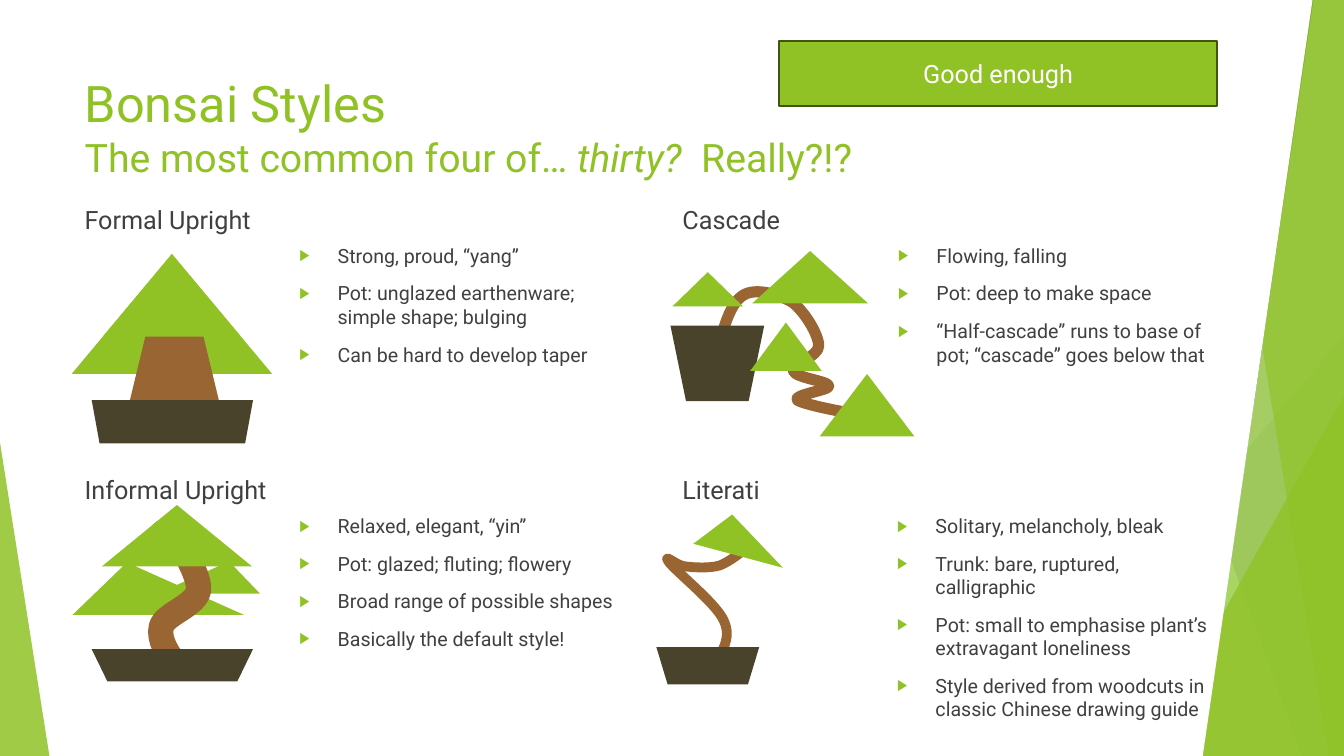
from pptx import Presentation
from pptx.dml.color import RGBColor
from pptx.enum.shapes import MSO_CONNECTOR, MSO_SHAPE
from pptx.enum.text import MSO_ANCHOR, MSO_AUTO_SIZE, PP_ALIGN
from pptx.oxml import parse_xml
from pptx.oxml.ns import nsdecls, qn
from pptx.util import Inches, Pt
from lxml import etree

GREEN = RGBColor(0x90, 0xC2, 0x26)
LEAF = RGBColor(0x54, 0xA0, 0x21)
MOSS = RGBColor(0x3F, 0x78, 0x19)
LIME = RGBColor(0xC0, 0xE4, 0x74)
OLIVE = RGBColor(0x3F, 0x55, 0x11)
BARK = RGBColor(0x99, 0x66, 0x33)
CLAY = RGBColor(0x48, 0x43, 0x2A)
GREY = RGBColor(0x40, 0x40, 0x40)
SILVER = RGBColor(0xBF, 0xBF, 0xBF)
PALE = RGBColor(0xD9, 0xD9, 0xD9)
WHITE = RGBColor(0xFF, 0xFF, 0xFF)
TRI, POT = MSO_SHAPE.ISOSCELES_TRIANGLE, MSO_SHAPE.TRAPEZOID

deck = Presentation()
deck.slide_width, deck.slide_height = Inches(13.33), Inches(7.5)
slide = deck.slides.add_slide(deck.slide_layouts[5])
shapes = slide.shapes


def paint(shape, color, alpha=100):
    shape.shadow.inherit = False
    shape.fill.solid()
    shape.fill.fore_color.rgb = color
    shape.line.fill.background()
    if alpha < 100:
        tint = shape.fill._xPr.find(qn("a:solidFill"))[0]
        etree.SubElement(tint, qn("a:alpha")).set("val", str(alpha * 1000))


def draw(kind, box, color, adj=None, alpha=100):
    shape = shapes.add_shape(kind, *[Inches(n) for n in box])
    paint(shape, color, alpha)
    if adj is not None:
        shape.adjustments[0] = adj
    if kind == POT and color == CLAY:
        shape._element.spPr.xfrm.set("flipV", "1")
    return shape


# Backdrop rays
for ends, color in [((10.25, 0, 11.58, 7.5), SILVER),
                    ((13.33, 4.03, 8.12, 7.5), PALE)]:
    ray = shapes.add_connector(MSO_CONNECTOR.STRAIGHT, *[Inches(n) for n in ends])
    ray.line.color.rgb = color
    ray.line.width = Pt(0.75)
    etree.SubElement(ray._element.spPr, qn("a:effectLst"))

# Backdrop facets: top x, bottom x, colour, opacity; None marks a triangle
facets = [(12.28, 10.04, GREEN, 30), (10.5, 11.83, GREEN, 20),
          (None, (9.77, 3.33, 3.56, 4.17), LEAF, 72),
          (10.21, 12.91, MOSS, 70), (13.03, 11.92, LIME, 70),
          (11.96, 13.18, GREEN, 65),
          (None, (11.34, 3.93, 1.99, 3.57), GREEN, 80)]
for top, low, color, alpha in facets:
    if top is None:
        draw(TRI, low, color, 1, alpha)
        continue
    path = shapes.build_freeform(Inches(top), Inches(-0.01))
    path.add_line_segments([(Inches(x), Inches(y)) for x, y in
                            ((13.33, -0.01), (13.33, 7.5), (low, 7.5))])
    paint(path.convert_to_shape(), color, alpha)
draw(TRI, (0, 4.39, 0.49, 3.11), GREEN, 0, 85)

# Rear foliage, then the white page over the facets
draw(TRI, (1.56, 5.57, 1.02, 0.32), GREEN, 0.698)
draw(TRI, (0.72, 5.58, 1.7, 0.52), GREEN, 0.317)
draw(TRI, (0.71, 2.52, 1.99, 1.19), GREEN)
page = draw(MSO_SHAPE.PARALLELOGRAM, (7.47, -0.02, 5.54, 7.52), WHITE, 0.197)
page.line.color.rgb = WHITE
page.line.width = Pt(1.5)

# Title, raised above the page
title = shapes.title
shapes._spTree.append(title._element)
title.left, title.top = Inches(0.74), Inches(0.67)
title.width, title.height = Inches(11.05), Inches(1.26)
frame = title.text_frame
frame.auto_size = MSO_AUTO_SIZE.NONE
frame.vertical_anchor = MSO_ANCHOR.TOP
para = frame.paragraphs[0]
para.alignment = PP_ALIGN.LEFT
for words, size, slant in [("Bonsai Styles", 36, False),
                           ("The most common four of… ", 28, False),
                           ("thirty?", 28, True), ("  Really?!?", 28, False)]:
    run = para.add_run()
    run.text = words
    run.font.name, run.font.size = "Roboto", Pt(size)
    run.font.italic = slant
    run.font.color.rgb = GREEN
    if size == 36:
        para.add_line_break()

# Four styles: heading and bulleted notes
styles = [
    (0.74, 1.98, "Formal Upright", 2.87, 3.31, 1.83,
     ["Strong, proud, “yang”",
      "Pot: unglazed earthenware; simple shape; bulging",
      "Can be hard to develop taper"]),
    (6.67, 1.98, "Cascade", 8.81, 3.49, 1.83,
     ["Flowing, falling", "Pot: deep to make space",
      "“Half-cascade” runs to base of pot; “cascade” goes below that"]),
    (0.74, 4.66, "Informal Upright", 2.87, 3.31, 1.71,
     ["Relaxed, elegant, “yin”", "Pot: glazed; fluting; flowery",
      "Broad range of possible shapes", "Basically the default style!"]),
    (6.67, 4.66, "Literati", 8.8, 3.31, 2.29,
     ["Solitary, melancholy, bleak", "Trunk: bare, ruptured, calligraphic",
      "Pot: small to emphasise plant’s extravagant loneliness",
      "Style derived from woodcuts in classic Chinese drawing guide"]),
]
bullet = [f'<a:buClr {nsdecls("a")}><a:srgbClr val="{GREEN}"/></a:buClr>',
          f'<a:buSzPct {nsdecls("a")} val="80000"/>',
          f'<a:buFont {nsdecls("a")} typeface="Arial"/>',
          f'<a:buChar {nsdecls("a")} char="▶"/>']
for left, top, name, start, width, height, notes in styles:
    for x, y, w, h, size, lines in [(left, top, 2.82, 0.43, 18, [name]),
                                    (start, top + 0.39, width, height, 14, notes)]:
        box = shapes.add_textbox(Inches(x), Inches(y), Inches(w), Inches(h))
        box.text_frame.word_wrap = True
        box.text_frame.text = "\n".join(lines)
        for para in box.text_frame.paragraphs:
            para.space_before = Pt(10)
            font = para.runs[0].font
            font.name, font.size = "Roboto", Pt(size)
            font.color.rgb = GREY
            if size == 14:
                props = para._p.get_or_add_pPr()
                props.set("marL", str(Inches(0.38)))
                props.set("indent", str(-Inches(0.38)))
                for mark in bullet:
                    props.append(parse_xml(mark))

# Bonsai parts, back to front; a trunk is a chain of cubic curves
bends = [(1.76, 6.62), (1.66, 6.48), (1.57, 6.35), (1.6, 6.22),
         (1.63, 6.09), (1.95, 6.01), (1.97, 5.85),
         (1.98, 5.7), (1.77, 5.35), (1.69, 5.28),
         (1.61, 5.21), (1.52, 5.43), (1.5, 5.46)]
falls = [(7.11, 3.49), (7.18, 3.25), (7.24, 3.01), (7.37, 2.93),
         (7.49, 2.85), (7.73, 2.92), (7.86, 3), (7.98, 3.09), (8.12, 3.32),
         (8.12, 3.43), (8.12, 3.54), (7.85, 3.61), (7.87, 3.68),
         (7.89, 3.75), (8.22, 3.78), (8.22, 3.83), (8.23, 3.87),
         (7.85, 3.92), (7.91, 3.97), (7.98, 4.02), (8.56, 4.13), (8.63, 4.12)]
twists = [(7.06, 6.62), (7.16, 6.48), (7.26, 6.33), (7.18, 6.16),
          (7.11, 5.99), (6.69, 5.66), (6.63, 5.57), (6.57, 5.48),
          (6.72, 5.62), (6.8, 5.62), (6.88, 5.63), (7.04, 5.64),
          (7.14, 5.61), (7.24, 5.57), (7.37, 5.47), (7.4, 5.43),
          (7.43, 5.4), (7.36, 5.39), (7.31, 5.38), (7.25, 5.38),
          (7.16, 5.38), (7.06, 5.38)]
parts = [
    # Formal upright
    (POT, (1.26, 3.12, 0.94, 0.97), BARK, None),
    (TRI, (1.02, 2.52, 1.37, 0.82), GREEN, None),
    (POT, (0.91, 3.97, 1.6, 0.43), CLAY, 0.182),
    # Informal upright
    ("trunk", bends, BARK, 18),
    (POT, (0.91, 6.44, 1.6, 0.32), CLAY, 0.487),
    (TRI, (1.01, 5.01, 1.49, 0.61), GREEN, None),
    # Cascade
    ("trunk", falls, BARK, 8),
    (POT, (6.65, 3.23, 0.93, 0.75), CLAY, 0.206),
    (TRI, (7.46, 2.49, 1.15, 0.52), GREEN, None),
    (TRI, (6.67, 2.7, 0.7, 0.34), GREEN, None),
    (TRI, (7.44, 3.2, 0.71, 0.48), GREEN, None),
    (TRI, (8.13, 3.71, 0.94, 0.62), GREEN, None),
    # Literati
    ("trunk", twists, BARK, 7),
    (TRI, (6.91, 5.14, 0.92, 0.38), GREEN, 0.323),
    (POT, (6.51, 6.42, 1.02, 0.37), CLAY, 0.302),
]
for kind, place, color, value in parts:
    if kind != "trunk":
        part = draw(kind, place, color, value)
        if value == 0.323:
            part.rotation = 15
        continue
    spots = [(Inches(x), Inches(y)) for x, y in place]
    path = shapes.build_freeform(*spots[0])
    path.add_line_segments(spots[1:], close=False)
    trunk = path.convert_to_shape()
    # Turn each three straight steps into one curve
    steps = list(trunk._element.iter(qn("a:lnTo")))
    for i in range(0, len(steps), 3):
        curve = etree.SubElement(steps[i].getparent(), qn("a:cubicBezTo"))
        for step in steps[i:i + 3]:
            curve.append(step[0])
            step.getparent().remove(step)
    trunk.shadow.inherit = False
    trunk.fill.background()
    trunk.line.color.rgb = color
    trunk.line.width = Pt(value)

# Verdict banner
banner = draw(MSO_SHAPE.RECTANGLE, (7.73, 0.41, 4.34, 0.64), GREEN)
banner.line.color.rgb = OLIVE
banner.line.width = Pt(1.5)
banner.text_frame.text = "Good enough"
banner.text_frame.vertical_anchor = MSO_ANCHOR.MIDDLE
para = banner.text_frame.paragraphs[0]
para.alignment = PP_ALIGN.CENTER
font = para.runs[0].font
font.name, font.size = "Roboto", Pt(18)
font.color.rgb = WHITE

deck.save("out.pptx")
